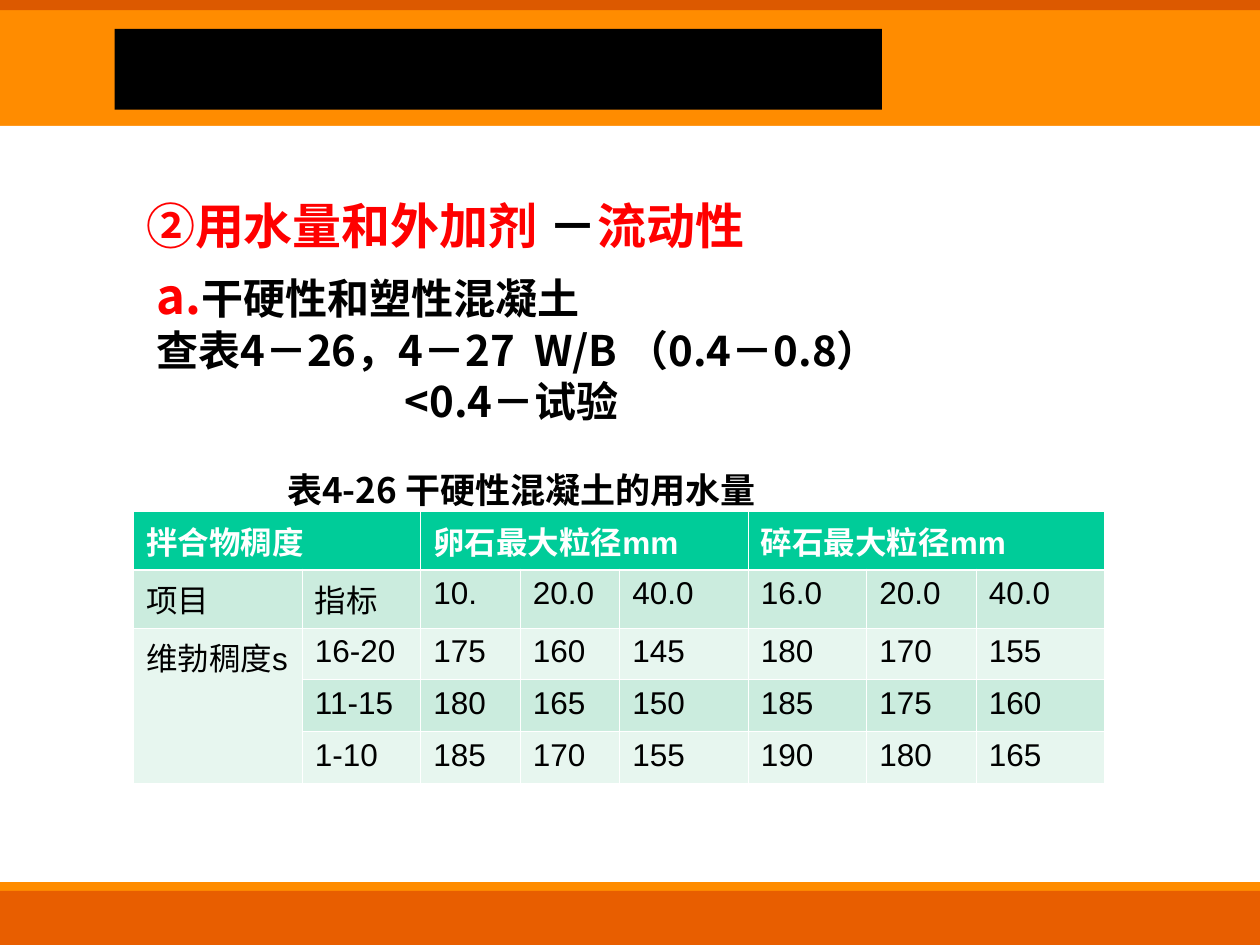
"""Build the slide on water content and admixtures for concrete mixes."""
import pptx
import pptx.dml.color
import pptx.enum.shapes
import pptx.enum.text
import pptx.oxml
import pptx.oxml.ns
import pptx.util

Inches, Pt = pptx.util.Inches, pptx.util.Pt
RGBColor = pptx.dml.color.RGBColor
MSO_SHAPE = pptx.enum.shapes.MSO_SHAPE
qn = pptx.oxml.ns.qn

BLACK = RGBColor(0x00, 0x00, 0x00)
WHITE = RGBColor(0xFF, 0xFF, 0xFF)
RED = RGBColor(0xFF, 0x00, 0x00)
ORANGE = RGBColor(0xFF, 0x8C, 0x00)
RUST = RGBColor(0xDC, 0x59, 0x00)
DEEP_ORANGE = RGBColor(0xE8, 0x5E, 0x00)
GREEN = RGBColor(0x00, 0xCC, 0x99)
MINT = RGBColor(0xCB, 0xEC, 0xDE)
PALE_MINT = RGBColor(0xE7, 0xF6, 0xEF)
CJK = "Noto Sans CJK SC"
LATIN = "Arial"

PANELS = [
    (MSO_SHAPE.RECTANGLE, (0, 0.02, 10.01, 7.49), ORANGE),
    (MSO_SHAPE.RECTANGLE, (0, 0, 10.01, 0.08), RUST),
    (MSO_SHAPE.ROUNDED_RECTANGLE, (0, 1, 10.01, 6), WHITE),
    (MSO_SHAPE.ROUNDED_RECTANGLE, (0, 7.07, 10.02, 0.47), DEEP_ORANGE),
    (MSO_SHAPE.RECTANGLE, (0.91, 0.23, 6.09, 0.64), BLACK),
]
TITLE = [[("②用水量和外加剂", 28, RED), (" －", 28, BLACK), ("流动性", 28, RED)]]
BODY = [
    [("a.", 28, RED), ("干硬性和塑性混凝土", 24, BLACK)],
    [("查表4－26，4－27\tW/B （0.4－0.8）", 24, BLACK)],
    [("<0.4－试验", 24, BLACK)],
]
CAPTION = [[("表4-26 干硬性混凝土的用水量", 20, BLACK)]]
WB_TAB = 3.63
TEST_INDENT = 1.97

COLS = [1.34, 0.94, 0.79, 0.79, 1.02, 0.94, 0.87, 1.02]
ROW_HEIGHT = 0.41
ROWS = [
    ["拌合物稠度", "", "卵石最大粒径mm", "", "", "碎石最大粒径mm", "", ""],
    ["项目", "指标", "10.", "20.0", "40.0", "16.0", "20.0", "40.0"],
    ["维勃稠度s", "16-20", "175", "160", "145", "180", "170", "155"],
    ["", "11-15", "180", "165", "150", "185", "175", "160"],
    ["", "1-10", "185", "170", "155", "190", "180", "165"],
]
ROW_FILLS = [GREEN, MINT, PALE_MINT, MINT, PALE_MINT]
MERGES = [((0, 0), (0, 1)), ((0, 2), (0, 4)), ((0, 5), (0, 7)), ((2, 0), (4, 0))]


def format_run(r, size, color, bold, font):
    r.font.size, r.font.bold, r.font.name = Pt(size), bold, font
    r.font.color.rgb = color
    ea = r._r.get_or_add_rPr().makeelement(qn("a:ea"), {"typeface": CJK})
    r.font._element.find(qn("a:latin")).addnext(ea)


def place(sp, left, top, width, height):
    sp.left, sp.top = Inches(left), Inches(top)
    sp.width, sp.height = Inches(width), Inches(height)


def write(sp, paragraphs, wrap=True):
    tf = sp.text_frame
    tf.word_wrap = wrap
    tf.auto_size = pptx.enum.text.MSO_AUTO_SIZE.NONE
    tf.vertical_anchor = pptx.enum.text.MSO_ANCHOR.TOP
    for i, runs in enumerate(paragraphs):
        p = tf.paragraphs[0] if i == 0 else tf.add_paragraph()
        p.alignment = pptx.enum.text.PP_ALIGN.LEFT
        p.space_before = Pt(0)
        pPr = p._p.get_or_add_pPr()
        pPr.set("marL", "0")
        pPr.set("indent", "0")
        pPr.append(pPr.makeelement(qn("a:buNone"), {}))
        for text, size, color in runs:
            r = p.add_run()
            r.text = text
            format_run(r, size, color, True, CJK)


def set_borders(cell, row):
    tcPr = cell._tc.get_or_add_tcPr()
    for i, side in enumerate("LRTB"):
        heavy = (row, side) in ((0, "B"), (1, "T"))
        width = Pt(1.47 if heavy else 0.45)
        tcPr.insert(i, pptx.oxml.parse_xml(
            f'<a:ln{side} xmlns:a="http://schemas.openxmlformats.org/drawingml/2006/main" w="{width}">'
            f'<a:solidFill><a:srgbClr val="{WHITE}"/></a:solidFill></a:ln{side}>'))


def add_water_table(s):
    table = s.shapes.add_table(len(ROWS), len(COLS), Inches(1.06), Inches(4.06),
                               Inches(sum(COLS)), Inches(ROW_HEIGHT * len(ROWS))).table
    for col, width in zip(table.columns, COLS):
        col.width = Inches(width)
    for i, (texts, fill) in enumerate(zip(ROWS, ROW_FILLS)):
        table.rows[i].height = Inches(ROW_HEIGHT)
        for j, text in enumerate(texts):
            cell = table.cell(i, j)
            cell.fill.solid()
            cell.fill.fore_color.rgb = fill
            set_borders(cell, i)
            cell.text_frame.text = text
            for r in cell.text_frame.paragraphs[0].runs:
                format_run(r, 18, WHITE if i == 0 else BLACK, i == 0, LATIN)
    for first, last in MERGES:
        table.cell(*first).merge(table.cell(*last))


def main():
    prs = pptx.Presentation()
    prs.slide_width, prs.slide_height = Inches(10), Inches(7.5)
    s = prs.slides.add_slide(prs.slide_layouts[1])
    title, body = s.placeholders
    for kind, box, color in PANELS:
        sp = s.shapes.add_shape(kind, *map(Inches, box))
        sp.shadow.inherit = False
        sp.fill.solid()
        sp.fill.fore_color.rgb = color
        sp.line.fill.background()
        if kind == MSO_SHAPE.ROUNDED_RECTANGLE:
            sp.adjustments[0] = 0
    for sp in (title, body):
        s.shapes._spTree.append(sp._element)
    place(title, 1.06, 1.5, 6.85, 0.57)
    write(title, TITLE)
    place(body, 1.14, 2.06, 6.62, 1.77)
    write(body, BODY)
    lookup, test = body.text_frame.paragraphs[1:]
    tabs = pptx.oxml.parse_xml(
        '<a:tabLst xmlns:a="http://schemas.openxmlformats.org/drawingml/2006/main">'
        f'<a:tab pos="{Inches(WB_TAB)}" algn="l"/></a:tabLst>')
    lookup._p.get_or_add_pPr().append(tabs)
    test._p.get_or_add_pPr().set("marL", str(Inches(TEST_INDENT)))
    caption = s.shapes.add_textbox(*map(Inches, (2.18, 3.67, 4.23, 0.44)))
    write(caption, CAPTION, wrap=False)
    add_water_table(s)
    prs.save("out.pptx")


if __name__ == "__main__":
    main()
